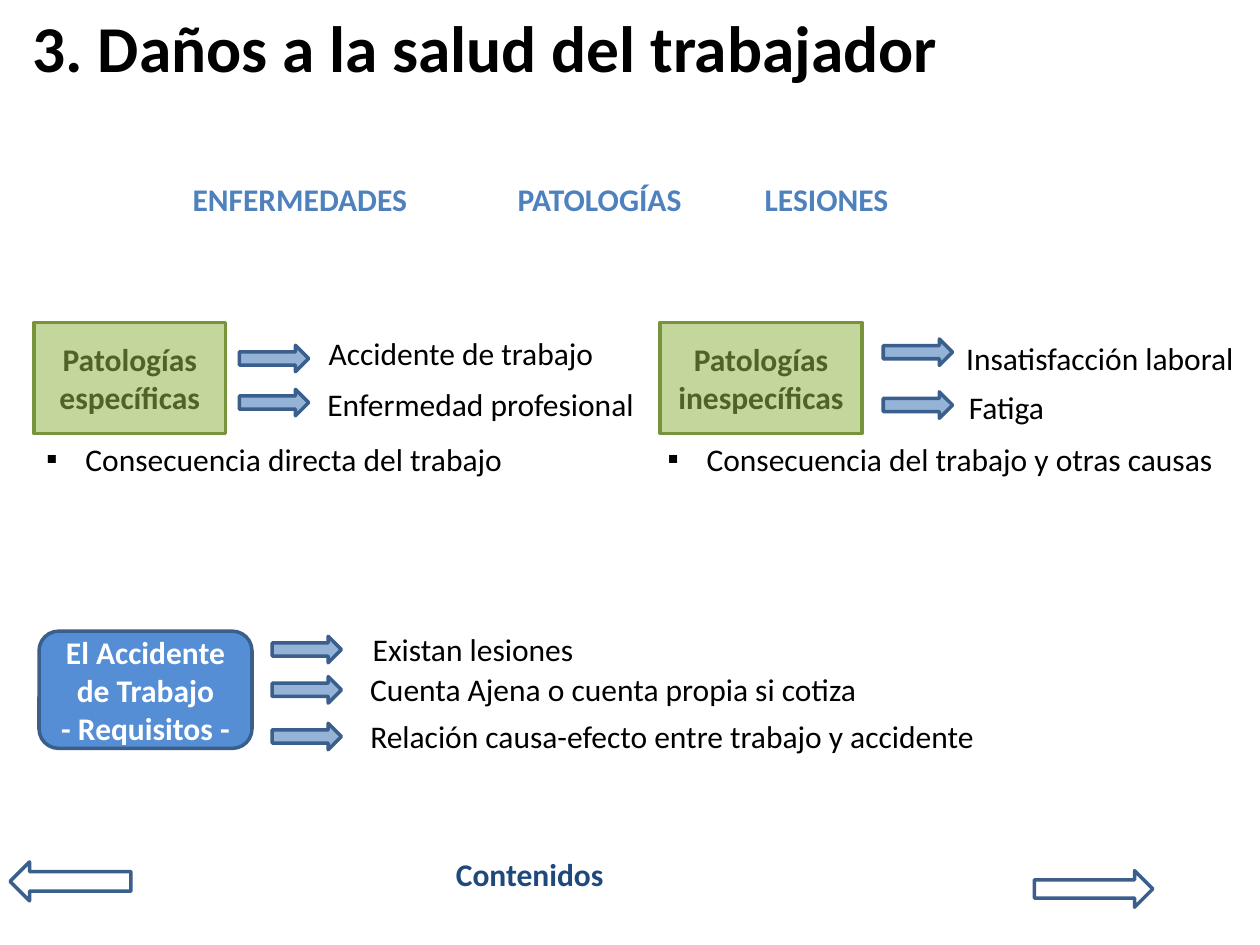
"""Build the slide on harm to workers' health."""
from typing import NamedTuple, Optional

from lxml import etree
from pptx import Presentation
from pptx.dml.color import RGBColor
from pptx.enum import shapes as sh, text as tx
from pptx.oxml import ns
from pptx.util import Inches, Pt

BLACK = RGBColor(0x00, 0x00, 0x00)
WHITE = RGBColor(0xFF, 0xFF, 0xFF)
BLUE = RGBColor(0x4F, 0x81, 0xBD)
NAVY = RGBColor(0x1F, 0x49, 0x7D)
EDGE = RGBColor(0x3A, 0x5F, 0x8C)
PALE = RGBColor(0x95, 0xB3, 0xD7)
SKY = RGBColor(0x55, 0x8E, 0xD5)
LIME = RGBColor(0xC3, 0xD6, 0x9B)
GREEN = RGBColor(0x77, 0x93, 0x3C)
MOSS = RGBColor(0x4F, 0x62, 0x28)
FORM = sh.MSO_SHAPE


class Label(NamedTuple):
    left: float
    top: float
    width: float
    words: str
    bullet: bool = False


class Panel(NamedTuple):
    form: FORM
    left: float
    top: float
    width: float
    height: float
    fill: Optional[RGBColor] = None
    line: RGBColor = EDGE
    words: str = ""
    color: RGBColor = WHITE


HEADS = [
    Label(1.43, 1.38, 2.32, "ENFERMEDADES"),
    Label(4.01, 1.38, 1.55, "PATOLOGÍAS"),
    Label(5.97, 1.38, 1.29, "LESIONES"),
]
ITEMS = [
    Label(2.51, 2.6, 2.36, "Accidente de trabajo"),
    Label(2.5, 3.01, 3.07, "Enfermedad profesional"),
    Label(7.57, 2.64, 3.37, "Insatisfacción laboral"),
    Label(7.59, 3.03, 0.85, "Fatiga"),
    Label(0.27, 3.44, 4.6, "Consecuencia directa del trabajo", True),
    Label(5.2, 3.44, 4.6, "Consecuencia del trabajo y otras causas", True),
    Label(2.86, 4.95, 4.13, "Existan lesiones"),
    Label(2.84, 5.27, 4.13, "Cuenta Ajena o cuenta propia si cotiza"),
    Label(2.84, 5.64, 6.75, "Relación causa-efecto entre trabajo y accidente"),
]
PANELS = [
    Panel(FORM.RECTANGLE, 0.27, 2.56, 1.52, 0.88, LIME, GREEN,
          "Patologías específicas", MOSS),
    Panel(FORM.RECTANGLE, 5.24, 2.56, 1.6, 0.88, LIME, GREEN,
          "Patologías inespecíficas", MOSS),
    Panel(FORM.ROUNDED_RECTANGLE, 0.31, 5.01, 1.69, 0.93, SKY, EDGE,
          "El Accidente de Trabajo\n- Requisitos -"),
    Panel(FORM.LEFT_ARROW, 0.08, 6.84, 0.96, 0.31),
    Panel(FORM.RIGHT_ARROW, 8.21, 6.91, 0.94, 0.29),
]
ARROWS = {1.9: (2.74, 3.09), 7.01: (2.69, 3.11), 2.16: (5.05, 5.37, 5.74)}


def write(frame, words: str, *, size: float = 18, color: RGBColor = BLACK,
          bold: bool = False, center: bool = False, middle: bool = False,
          bullet: bool = False) -> None:
    frame.word_wrap = True
    frame.vertical_anchor = tx.MSO_ANCHOR.MIDDLE if middle else tx.MSO_ANCHOR.TOP
    frame.text = words
    for para in frame.paragraphs:
        para.alignment = tx.PP_ALIGN.CENTER if center else tx.PP_ALIGN.LEFT
        for run in para.runs:
            font = run.font
            font.name, font.size, font.bold = "Calibri", Pt(size), bold
            font.color.rgb = color
        if bullet:
            props = para._p.get_or_add_pPr()
            props.set("marL", str(Inches(0.31)))
            props.set("indent", str(Inches(-0.31)))
            face = etree.SubElement(props, ns.qn("a:buFont"))
            face.set("typeface", "Calibri")
            mark = etree.SubElement(props, ns.qn("a:buChar"))
            mark.set("char", "▪")


def label(slide, item: Label, height: float = 0.4, **style) -> None:
    box = slide.shapes.add_textbox(
        Inches(item.left), Inches(item.top), Inches(item.width), Inches(height))
    write(box.text_frame, item.words, bullet=item.bullet, **style)


def panel(slide, item: Panel) -> None:
    shape = slide.shapes.add_shape(
        item.form, Inches(item.left), Inches(item.top),
        Inches(item.width), Inches(item.height))
    shape.shadow.inherit = False
    if item.fill is None:
        shape.fill.background()
    else:
        shape.fill.solid()
        shape.fill.fore_color.rgb = item.fill
    shape.line.color.rgb = item.line
    shape.line.width = Pt(2)
    if item.words:
        write(shape.text_frame, item.words, color=item.color,
              bold=True, center=True, middle=True)


def main() -> None:
    deck = Presentation()
    deck.slide_width, deck.slide_height = Inches(10), Inches(7.5)
    slide = deck.slides.add_slide(deck.slide_layouts[6])
    label(slide, Label(0.16, 0.05, 9, "3. Daños a la salud del trabajador"),
          0.63, size=37.4, bold=True, middle=True)
    for head in HEADS:
        label(slide, head, color=BLUE, bold=True)
    for item in PANELS:
        panel(slide, item)
    for left, tops in ARROWS.items():
        for top in tops:
            panel(slide, Panel(FORM.RIGHT_ARROW, left, top, 0.55, 0.21, PALE))
    for item in ITEMS:
        label(slide, item)
    label(slide, Label(3.52, 6.74, 1.44, "Contenidos"), color=NAVY, bold=True)
    deck.save("out.pptx")


main()
